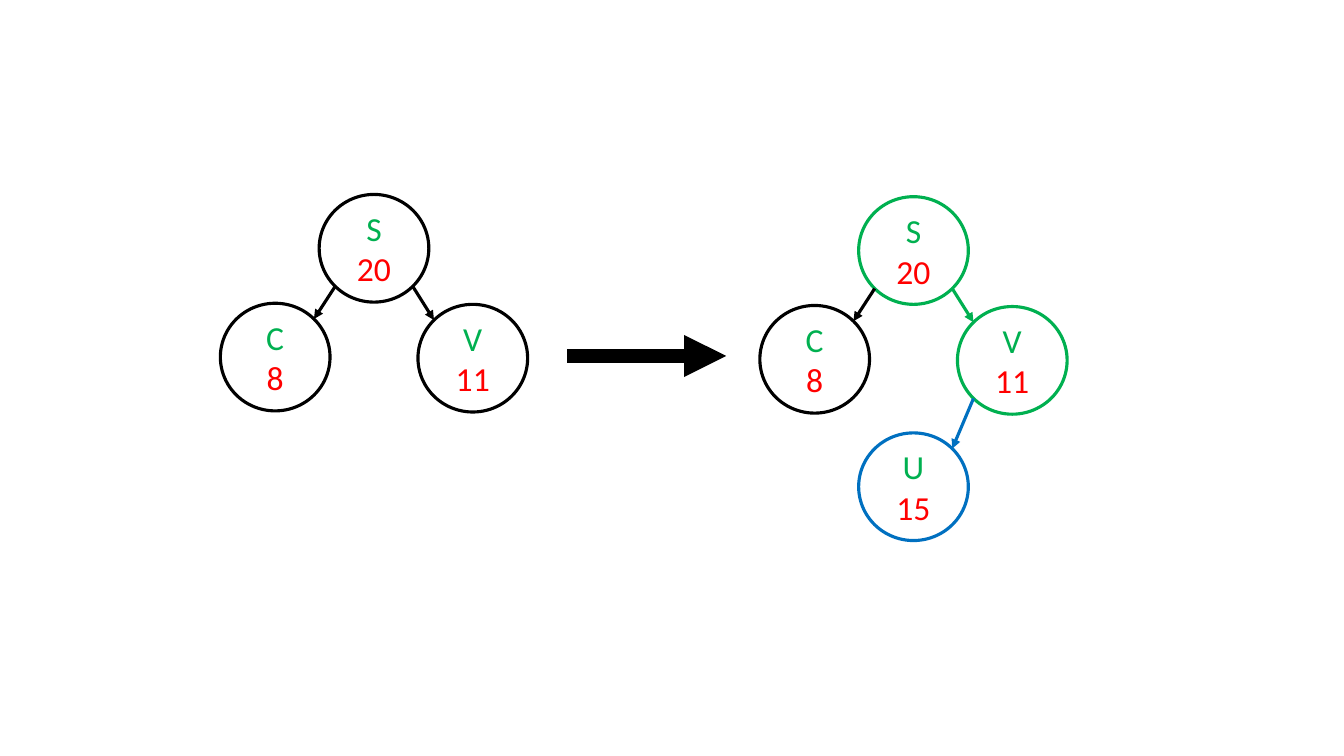
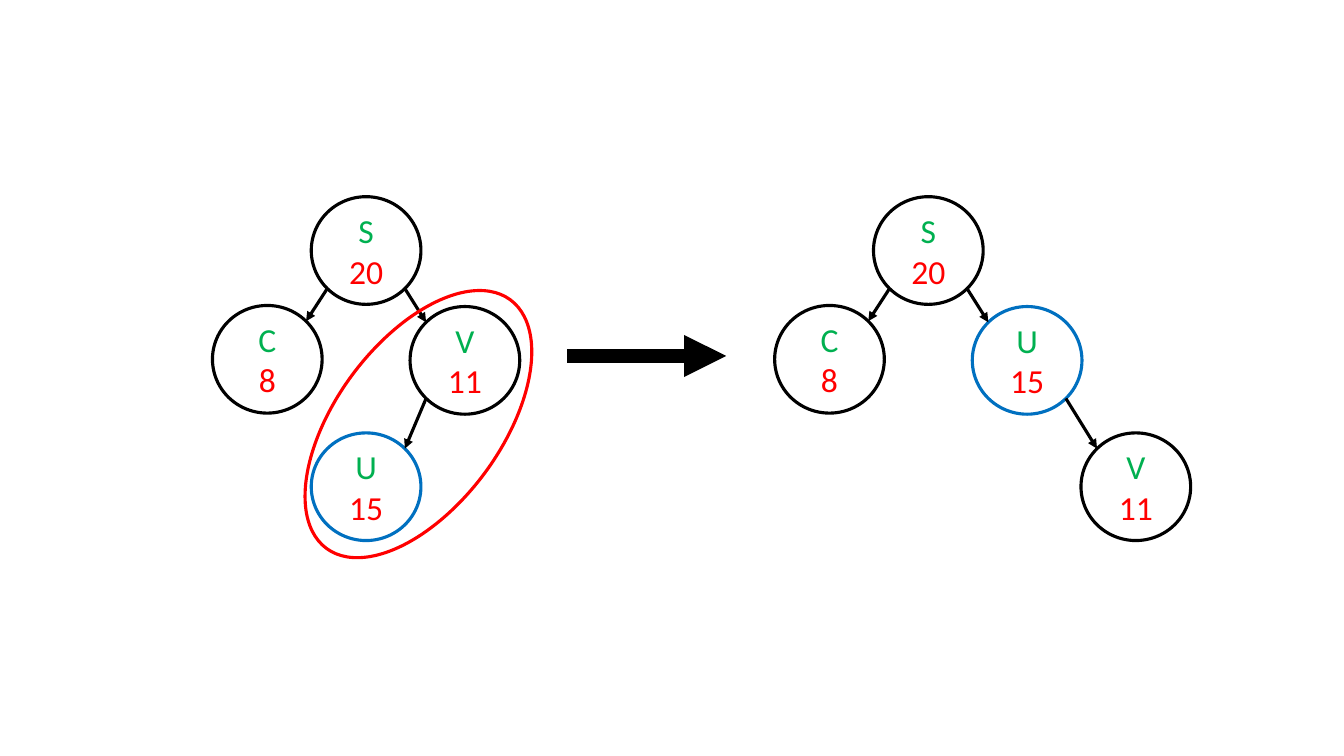
import math

import lxml.etree
import pptx
import pptx.dml.color
import pptx.enum.shapes
import pptx.enum.text
import pptx.oxml.ns
import pptx.util

BLACK = pptx.dml.color.RGBColor(0x00, 0x00, 0x00)
GREEN = pptx.dml.color.RGBColor(0x00, 0xB0, 0x50)
RED = pptx.dml.color.RGBColor(0xFF, 0x00, 0x00)
BLUE = pptx.dml.color.RGBColor(0x00, 0x70, 0xC0)

LEFT = {"C": (-1, 0.99), "S": (0, 0), "V": (1, 1)}
INSERTED = {**LEFT, "U": (0, 2.15)}
ROTATED = {"C": (-1, 0.99), "S": (0, 0), "U": (1, 1), "V": (2.1, 2.15)}
PRIORITIES = {"S": "20", "C": "8", "V": "11", "U": "15"}


class TreapDeck:
    """Draws treaps on a slide grid in one shared style."""

    COLUMN, ROW = 0.98, 1.09
    NODE_WIDTH, NODE_HEIGHT = 1.11, 0.98
    FONT, TEXT_SIZE = "Calibri", 24
    THIN, THICK = 2.25, 10

    def __init__(self):
        self.deck = pptx.Presentation()
        self.deck.slide_width = pptx.util.Inches(13.33)
        self.deck.slide_height = pptx.util.Inches(7.5)
        self.page = None

    def x(self, columns):
        return pptx.util.Inches(columns * self.COLUMN)

    def y(self, rows):
        return pptx.util.Inches(rows * self.ROW)

    def add_page(self):
        self.page = self.deck.slides.add_slide(self.deck.slide_layouts[6])

    def ring(self, column, row, width, height, colour, rotation=0):
        ring = self.page.shapes.add_shape(
            pptx.enum.shapes.MSO_SHAPE.OVAL,
            self.x(column), self.y(row), self.x(width), self.y(height))
        ring.shadow.inherit = False
        ring.fill.background()
        ring.line.color.rgb = colour
        ring.line.width = pptx.util.Pt(self.THIN)
        ring.rotation = rotation
        return ring

    def node(self, key, column, row, colour):
        ring = self.ring(column, row, self.NODE_WIDTH, self.NODE_HEIGHT, colour)
        frame = ring.text_frame
        frame.word_wrap = True
        frame.vertical_anchor = pptx.enum.text.MSO_ANCHOR.MIDDLE
        for index, (text, text_colour) in enumerate(
                ((key, GREEN), (PRIORITIES[key], RED))):
            para = frame.add_paragraph() if index else frame.paragraphs[0]
            para.alignment = pptx.enum.text.PP_ALIGN.CENTER
            span = para.add_run()
            span.text = text
            span.font.name = self.FONT
            span.font.size = pptx.util.Pt(self.TEXT_SIZE)
            span.font.color.rgb = text_colour

    def arrow(self, start, end, colour=BLACK, weight=THIN):
        line = self.page.shapes.add_connector(
            pptx.enum.shapes.MSO_CONNECTOR.STRAIGHT,
            self.x(start[0]), self.y(start[1]), self.x(end[0]), self.y(end[1]))
        line.line.color.rgb = colour
        line.line.width = pptx.util.Pt(weight)
        qn = pptx.oxml.ns.qn
        properties = line._element.spPr
        lxml.etree.SubElement(
            properties.find(qn("a:ln")), qn("a:tailEnd"), type="triangle")
        lxml.etree.SubElement(properties, qn("a:effectLst"))

    def rim(self, place, side, end):
        reach = math.sqrt(0.5)
        return (place[0] + self.NODE_WIDTH / 2 * (1 + side * reach),
                place[1] + self.NODE_HEIGHT / 2 * (1 + end * reach))

    def tree(self, column, row, layout, edges, node_colours=None, edge_colours=None):
        places = {key: (column + across, row + down)
                  for key, (across, down) in layout.items()}
        for key, place in places.items():
            self.node(key, *place, (node_colours or {}).get(key, BLACK))
        for edge in edges:
            parent, child = (places[key] for key in edge)
            side = math.copysign(1, child[0] - parent[0])
            self.arrow(self.rim(parent, side, 1), self.rim(child, -side, -1),
                       (edge_colours or {}).get(edge, BLACK))

    def step_arrow(self):
        self.arrow((5.74, 3.24), (7.35, 3.24), weight=self.THICK)


def main():
    treaps = TreapDeck()

    treaps.add_page()
    treaps.tree(3.23, 1.77, LEFT, ("SC", "SV"))
    treaps.step_arrow()
    treaps.tree(8.69, 1.79, INSERTED, ("SC", "SV", "VU"),
                {"S": GREEN, "V": GREEN, "U": BLUE},
                {"SV": GREEN, "VU": BLUE})

    treaps.add_page()
    treaps.step_arrow()
    treaps.tree(3.15, 1.79, INSERTED, ("SC", "SV", "VU"), {"U": BLUE})
    treaps.ring(2.67, 3.11, 3.13, 1.5, RED, rotation=306.5)
    treaps.tree(8.84, 1.79, ROTATED, ("SC", "SU", "UV"), {"U": BLUE})

    treaps.deck.save("out.pptx")


if __name__ == "__main__":
    main()
